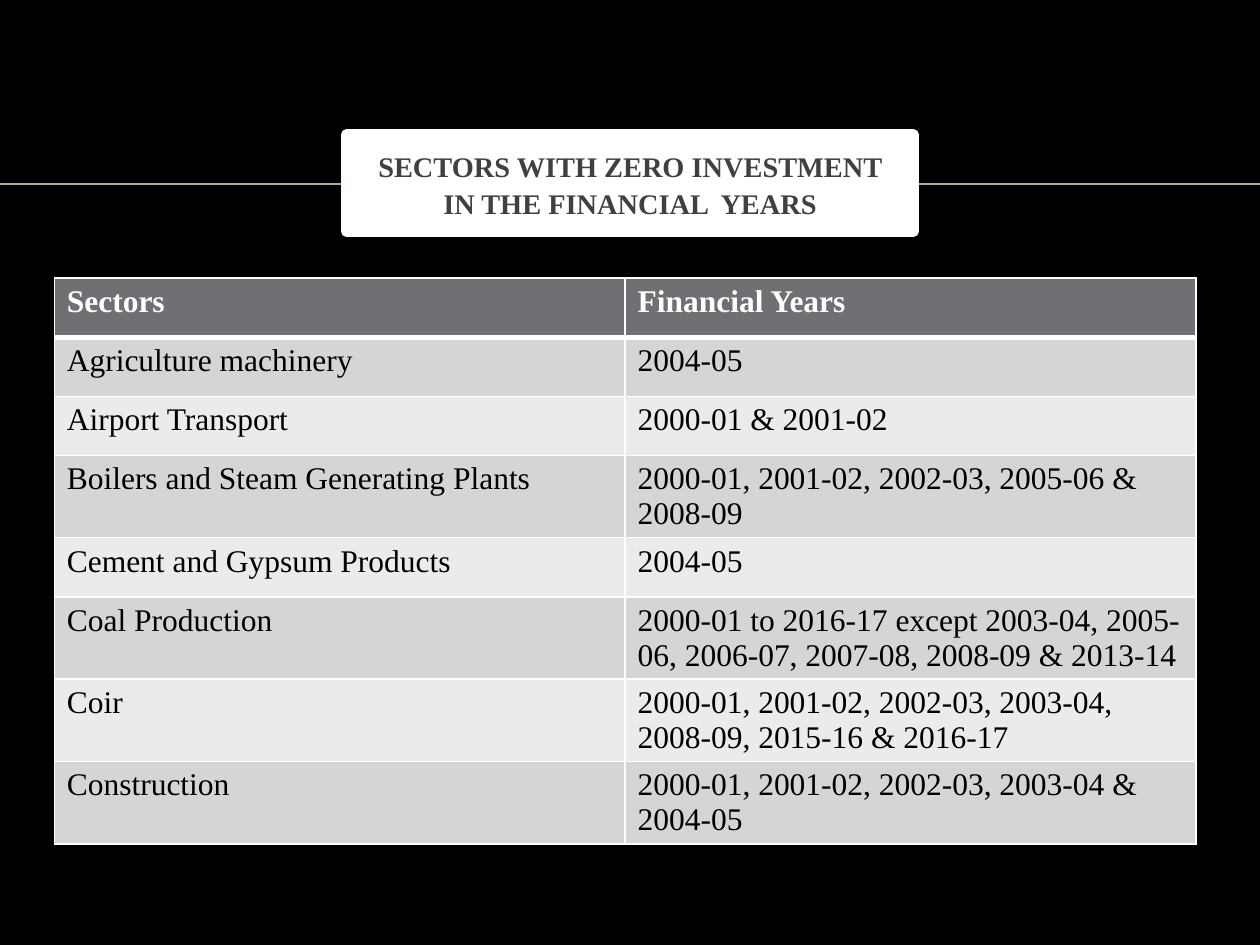
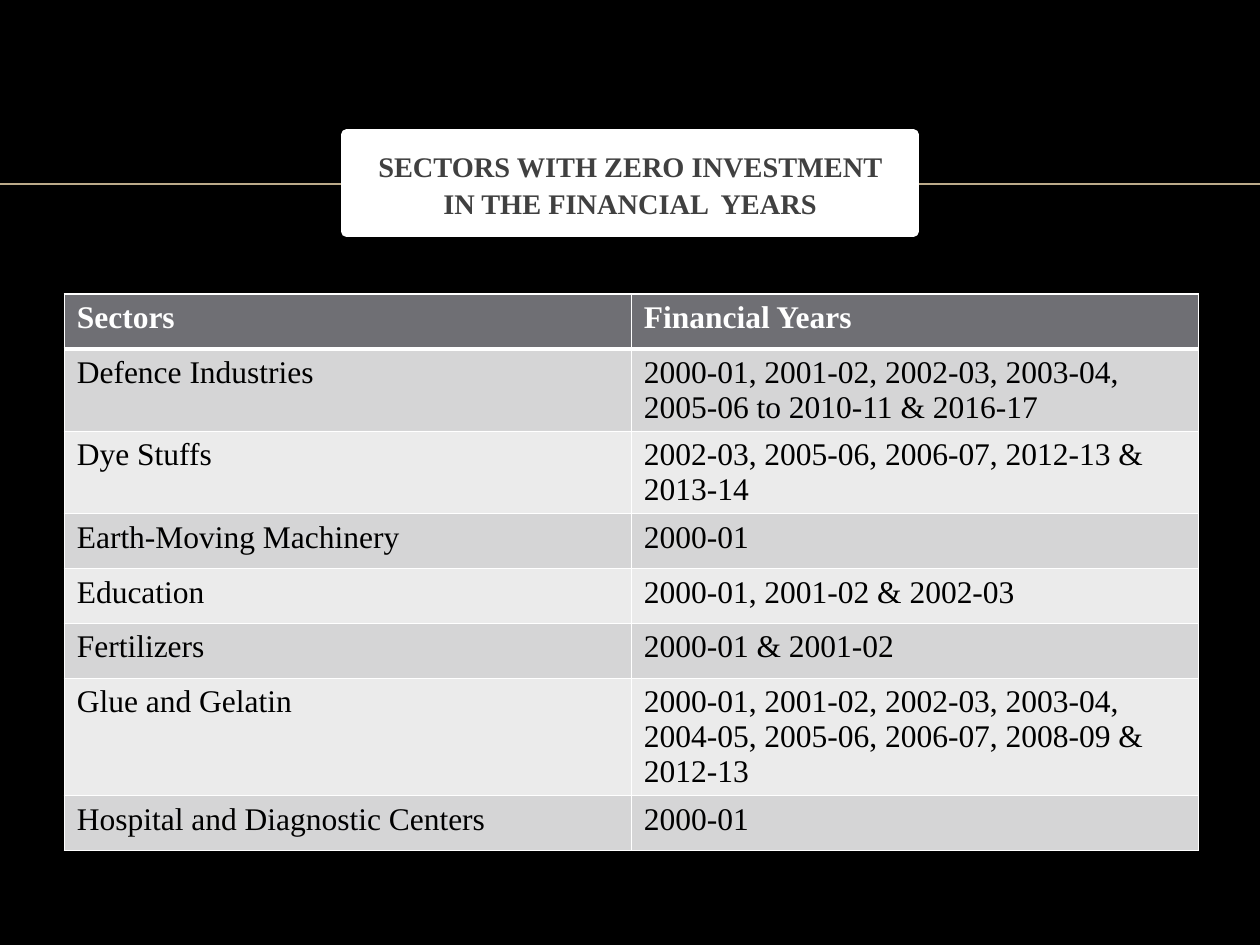
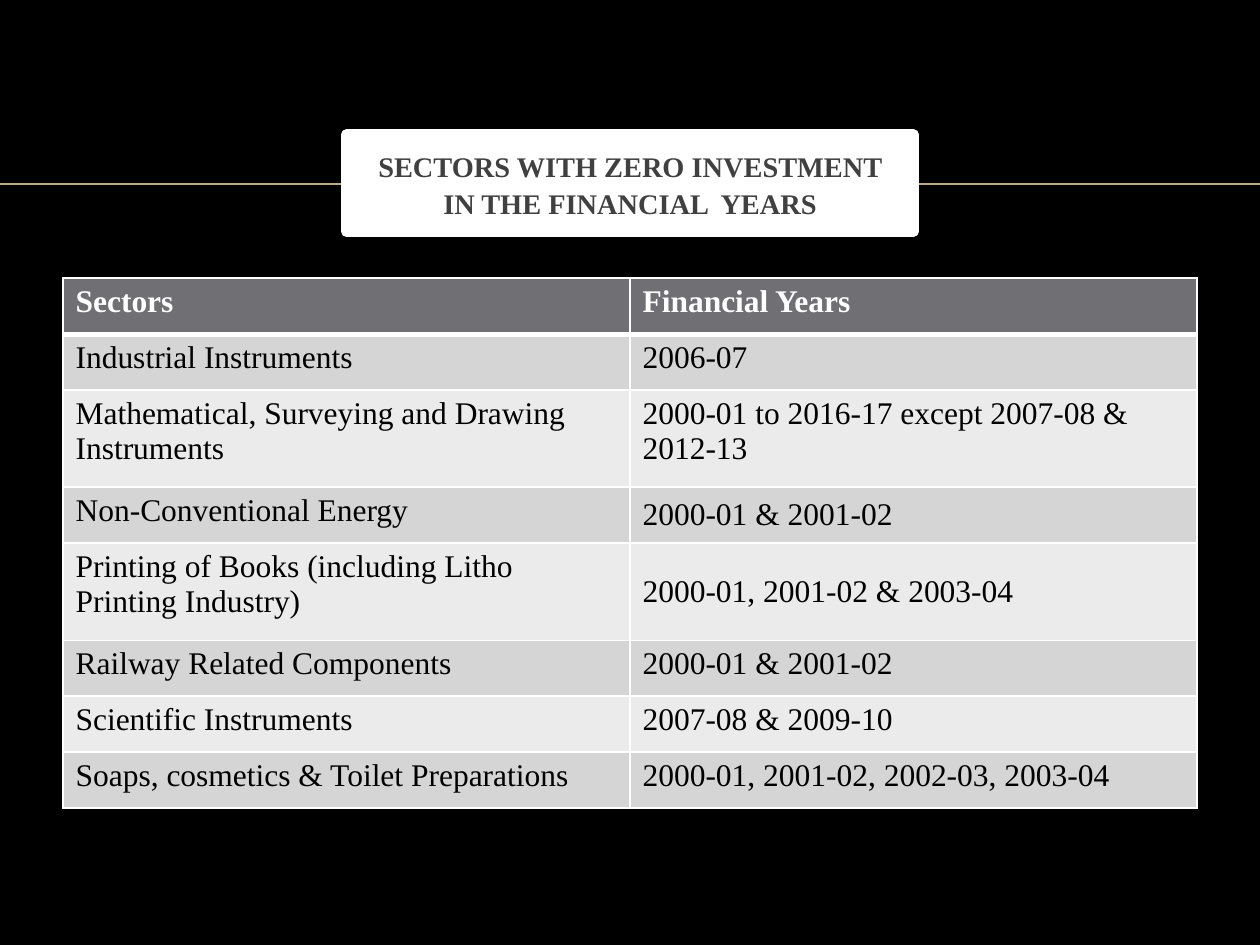
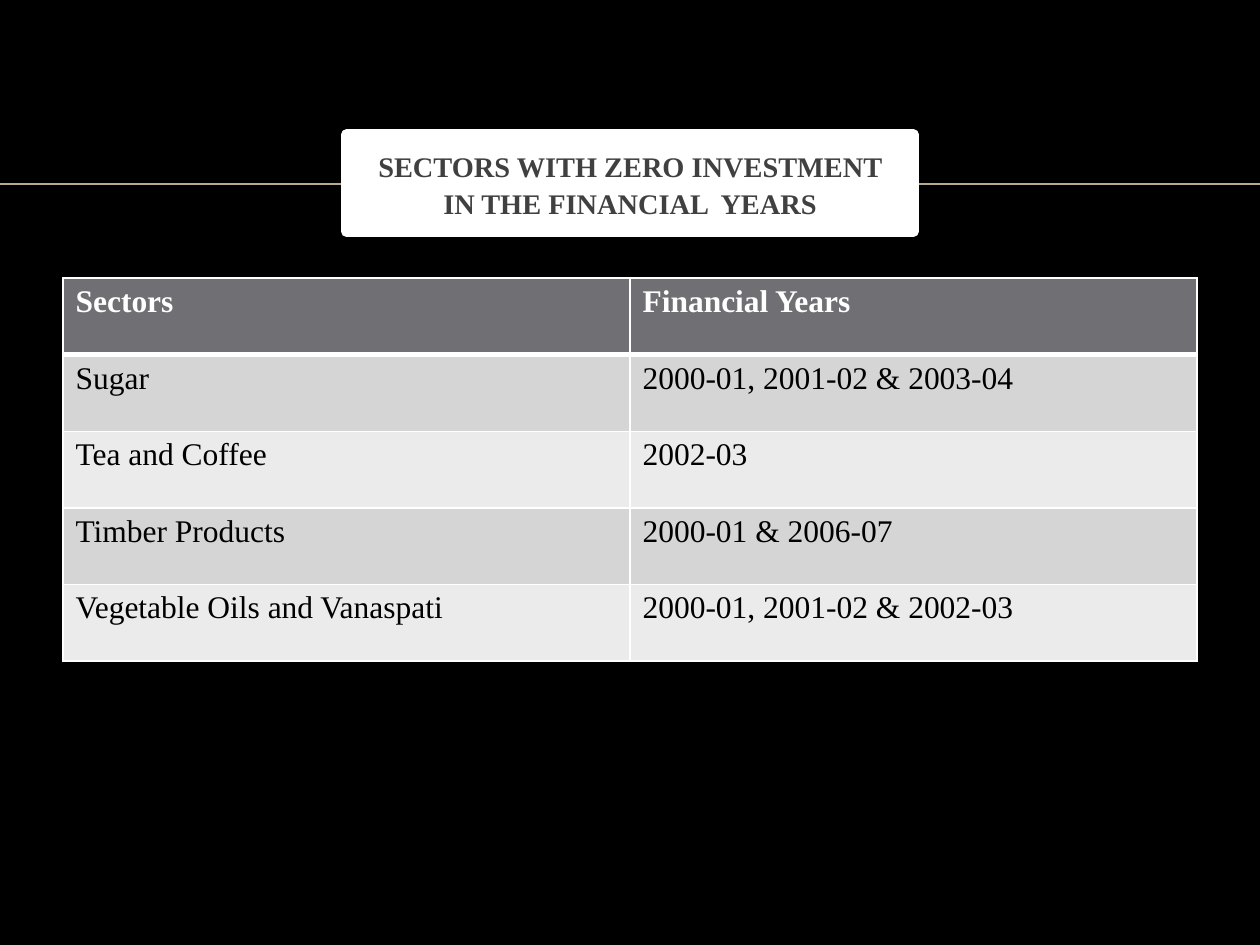
import pptx
import pptx.dml.color
import pptx.enum.shapes
import pptx.enum.text
import pptx.oxml
import pptx.oxml.ns
import pptx.util

Pt = pptx.util.Pt

TITLE = "SECTORS WITH ZERO INVESTMENT IN THE FINANCIAL  YEARS"
HEADER = ("Sectors", "Financial Years")

# Positions and sizes are in points; tall and middle list table row numbers.
SLIDES = [
    {
        "left": 31, "top": 159, "width": 652.4, "row": 33.75,
        "rows": [
            ("Agriculture machinery", "2004-05"),
            ("Airport Transport", "2000-01 & 2001-02"),
            ("Boilers and Steam Generating Plants",
             "2000-01, 2001-02, 2002-03, 2005-06 & 2008-09"),
            ("Cement and Gypsum Products", "2004-05"),
            ("Coal Production",
             "2000-01 to 2016-17 except 2003-04, 2005-06, 2006-07, 2007-08, "
             "2008-09 & 2013-14"),
            ("Coir",
             "2000-01, 2001-02, 2002-03, 2003-04, 2008-09, 2015-16 & 2016-17"),
            ("Construction", "2000-01, 2001-02, 2002-03, 2003-04 & 2004-05"),
        ],
    },
    {
        "left": 36.75, "top": 168, "width": 648, "row": 31.4,
        "rows": [
            ("Defence Industries",
             "2000-01, 2001-02, 2002-03, 2003-04, 2005-06 to 2010-11 & 2016-17"),
            ("Dye Stuffs", "2002-03, 2005-06, 2006-07, 2012-13 & 2013-14"),
            ("Earth-Moving Machinery", "2000-01"),
            ("Education", "2000-01, 2001-02 & 2002-03"),
            ("Fertilizers", "2000-01 & 2001-02"),
            ("Glue and Gelatin",
             "2000-01, 2001-02, 2002-03, 2003-04, 2004-05, 2005-06, 2006-07, "
             "2008-09 & 2012-13"),
            ("Hospital and Diagnostic Centers", "2000-01"),
        ],
    },
    {
        "left": 36, "top": 159, "width": 648, "row": 32,
        "tall": (2, 4), "tall_row": 55.5, "middle": (3, 4),
        "rows": [
            ("Industrial Instruments", "2006-07"),
            ("Mathematical, Surveying and Drawing Instruments",
             "2000-01 to 2016-17 except 2007-08 & 2012-13"),
            ("Non-Conventional Energy", "2000-01 & 2001-02"),
            ("Printing of Books (including Litho Printing Industry)",
             "2000-01, 2001-02 & 2003-04"),
            ("Railway Related Components", "2000-01 & 2001-02"),
            ("Scientific Instruments", "2007-08 & 2009-10"),
            ("Soaps, cosmetics & Toilet Preparations",
             "2000-01, 2001-02, 2002-03, 2003-04"),
        ],
    },
    {
        "left": 36, "top": 159, "width": 648, "row": 43.75,
        "rows": [
            ("Sugar", "2000-01, 2001-02 & 2003-04"),
            ("Tea and Coffee", "2002-03"),
            ("Timber Products", "2000-01 & 2006-07"),
            ("Vegetable Oils and Vanaspati", "2000-01, 2001-02 & 2002-03"),
        ],
    },
]

COLORS = {
    "background": "000000",
    "rule": "BBAA8A",
    "white": "FFFFFF",
    "title": "404040",
    "header": "6F6F74",
    "odd_row": "D5D5D6",
    "even_row": "EBEBEB",
    "body": "000000",
}
FONT = "Times New Roman"
PAGE_WIDTH, PAGE_HEIGHT = 720, 540
RULE_Y = 105
TITLE_BOX = (198, 77, 324, 55.4)


def color(name):
    return pptx.dml.color.RGBColor.from_string(COLORS[name])


def paint(fill, name):
    fill.solid()
    fill.fore_color.rgb = color(name)


def add_span(para, text, size, name, bold):
    span = para.add_run()
    span.text = text
    span.font.name = FONT
    span.font.size = Pt(size)
    span.font.bold = bold
    span.font.color.rgb = color(name)


def add_rule(page):
    rule = page.shapes.add_connector(
        pptx.enum.shapes.MSO_CONNECTOR.STRAIGHT,
        Pt(0), Pt(RULE_Y), Pt(PAGE_WIDTH), Pt(RULE_Y))
    rule.line.color.rgb = color("rule")
    rule.line.width = Pt(1)
    rule._element.spPr.append(pptx.oxml.parse_xml(
        f'<a:effectLst {pptx.oxml.ns.nsdecls("a")}/>'))


def add_title(page):
    box = page.shapes.add_shape(
        pptx.enum.shapes.MSO_SHAPE.RECTANGLE, *map(Pt, TITLE_BOX))
    box.shadow.inherit = False
    paint(box.fill, "white")
    box.line.color.rgb = color("white")
    box.line.width = Pt(6)
    frame = box.text_frame
    frame.word_wrap = True
    frame.margin_left = frame.margin_right = Pt(14.4)
    frame.vertical_anchor = pptx.enum.text.MSO_ANCHOR.MIDDLE
    para = frame.paragraphs[0]
    para.alignment = pptx.enum.text.PP_ALIGN.CENTER
    para.space_before = Pt(4)
    para.line_spacing = 1.1
    add_span(para, TITLE, 16.2, "title", True)


def add_borders(cell, widths):
    """Draw white cell edges; widths are for left, right, top and bottom."""
    properties = cell._tc.get_or_add_tcPr()
    for place, (side, width) in enumerate(zip("LRTB", widths)):
        properties.insert(place, pptx.oxml.parse_xml(
            f'<a:ln{side} {pptx.oxml.ns.nsdecls("a")} w="{Pt(width)}">'
            f'<a:solidFill><a:srgbClr val="{COLORS["white"]}"/></a:solidFill>'
            f'</a:ln{side}>'))


def add_sector_table(page, content):
    rows = [HEADER] + content["rows"]
    heights = [content["tall_row"] if number in content.get("tall", ())
               else content["row"] for number in range(len(rows))]
    table = page.shapes.add_table(
        len(rows), len(HEADER), Pt(content["left"]), Pt(content["top"]),
        Pt(content["width"]), Pt(sum(heights))).table
    table.first_row = table.horz_banding = False
    for column in table.columns:
        column.width = Pt(content["width"] / len(HEADER))
    for number, (texts, height) in enumerate(zip(rows, heights)):
        table.rows[number].height = Pt(height)
        is_header = number == 0
        band = "header" if is_header else ("even_row", "odd_row")[number % 2]
        widths = (1, 1, 3 if number == 1 else 1, 3 if is_header else 1)
        for column, text in enumerate(texts):
            cell = table.cell(number, column)
            paint(cell.fill, band)
            add_borders(cell, widths)
            add_span(cell.text_frame.paragraphs[0], text, 18,
                     "white" if is_header else "body", is_header)
            if column == 1 and number in content.get("middle", ()):
                cell.vertical_anchor = pptx.enum.text.MSO_ANCHOR.MIDDLE


def main():
    deck = pptx.Presentation()
    deck.slide_width, deck.slide_height = Pt(PAGE_WIDTH), Pt(PAGE_HEIGHT)
    paint(deck.slide_master.background.fill, "background")
    for content in SLIDES:
        page = deck.slides.add_slide(deck.slide_layouts[6])
        add_rule(page)
        add_sector_table(page, content)
        add_title(page)
    deck.save("out.pptx")


if __name__ == "__main__":
    main()
